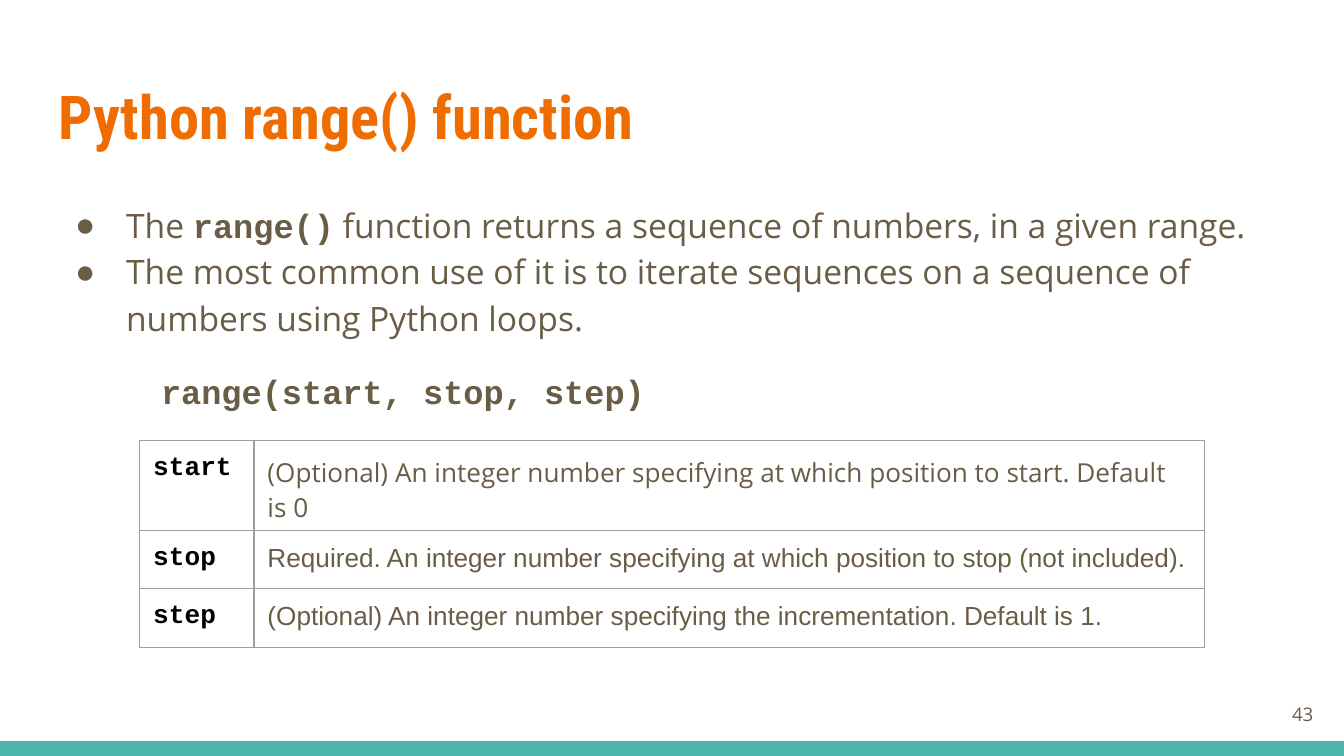
from lxml import etree
from pptx import Presentation
from pptx.dml.color import RGBColor
from pptx.enum.shapes import MSO_SHAPE as SHAPE
from pptx.enum.text import MSO_ANCHOR as ANCHOR, PP_ALIGN as ALIGN
from pptx.oxml.ns import qn
from pptx.util import Inches, Pt

WIDTH = 10
HEIGHT = WIDTH * 9 / 16
BROWN, ORANGE, TEAL = "695D46", "EF6C00", "4DB6AC"
BLACK, GREY = "000000", "9E9E9E"
SANS, MONO, ARIAL, TITLE = "Open Sans", "Courier New", "Arial", "Roboto Condensed"


def rgb(value):
    """Return the colour for a hex string."""
    return RGBColor.from_string(value)


def add_text(p, text, font=SANS, size=18, color=BROWN, bold=False):
    """Append a formatted run to a paragraph."""
    r = p.add_run()
    r.text = text
    r.font.name, r.font.size, r.font.bold = font, Pt(size), bold
    r.font.color.rgb = rgb(color)


def add_box(s, x, y, w, h):
    """Add a wrapping text box and return its text frame."""
    tf = s.shapes.add_textbox(Inches(x), Inches(y), Inches(w), Inches(h)).text_frame
    tf.word_wrap = True
    tf.margin_left = tf.margin_right = tf.margin_top = tf.margin_bottom = Inches(0.1)
    return tf


def add_bullet(p):
    """Give a paragraph a hanging round bullet."""
    p.line_spacing = 1.15
    pPr = p._p.get_or_add_pPr()
    pPr.set("marL", str(Inches(0.5)))
    pPr.set("indent", str(Inches(-0.38)))
    clr = etree.SubElement(pPr, qn("a:buClr"))
    etree.SubElement(clr, qn("a:srgbClr"), val=BROWN)
    etree.SubElement(pPr, qn("a:buFont"), typeface=ARIAL)
    etree.SubElement(pPr, qn("a:buChar"), char="●")


def add_borders(cell):
    """Draw a thin grey line on every side of a cell."""
    tcPr = cell._tc.get_or_add_tcPr()
    for i, side in enumerate(("a:lnL", "a:lnR", "a:lnT", "a:lnB")):
        ln = etree.Element(qn(side), w=str(Pt(0.75)))
        fill = etree.SubElement(ln, qn("a:solidFill"))
        etree.SubElement(fill, qn("a:srgbClr"), val=GREY)
        tcPr.insert(i, ln)


def footer(s, x, y, w, h, number):
    """Add the bottom band and the page number above its right end."""
    band = s.shapes.add_shape(SHAPE.RECTANGLE, Inches(x), Inches(y), Inches(w), Inches(h))
    band.shadow.inherit = False
    band.fill.solid()
    band.fill.fore_color.rgb = rgb(TEAL)
    band.line.fill.background()
    tf = add_box(s, x + w - 0.73, y - 0.42, 0.6, 0.43)
    tf.vertical_anchor = ANCHOR.MIDDLE
    p = tf.paragraphs[0]
    p.alignment = ALIGN.RIGHT
    add_text(p, number, size=10)


def heading(s, x, y, w, h, text):
    """Add the slide title."""
    add_text(add_box(s, x, y, w, h).paragraphs[0], text, font=TITLE, size=32.4, color=ORANGE, bold=True)


def bullets(s, x, y, w, h, items):
    """Add a bulleted list whose items are lists of (text, format) pairs."""
    tf = add_box(s, x, y, w, h)
    for i, item in enumerate(items):
        p = tf.add_paragraph() if i else tf.paragraphs[0]
        add_bullet(p)
        for text, fmt in item:
            add_text(p, text, **fmt)


def signature(s, x, y, w, h, text):
    """Add the function signature in code type."""
    add_text(add_box(s, x, y, w, h).paragraphs[0], text, font=MONO, bold=True)


def parameters(s, x, y, widths, row_h, rows):
    """Add the table of parameter names and descriptions."""
    frame = s.shapes.add_table(len(rows), len(widths), Inches(x), Inches(y),
                               Inches(sum(widths)), Inches(row_h * len(rows)))
    table = frame.table
    table.first_row = table.horz_banding = False
    for col, width in zip(table.columns, widths):
        col.width = Inches(width)
    for row, (name, text, font) in zip(table.rows, rows):
        row.height = Inches(row_h)
        for cell in row.cells:
            cell.margin_left = cell.margin_right = Inches(0.1)
            cell.margin_top = cell.margin_bottom = Inches(0.1)
            cell.fill.background()
            add_borders(cell)
        key, description = (cell.text_frame.paragraphs[0] for cell in row.cells)
        add_text(key, name, font=MONO, size=14, color=BLACK, bold=True)
        add_text(description, text, font=font, size=14)


def main():
    """Build the slide and save it."""
    prs = Presentation()
    prs.slide_width, prs.slide_height = Inches(WIDTH), Inches(HEIGHT)
    s = prs.slides.add_slide(prs.slide_layouts[6])
    footer(s, 0, HEIGHT - 0.11, WIDTH, 0.11, "43")
    heading(s, 0.34, 0.49, 9.32, 0.77, "Python range() function")
    bullets(s, 0.34, 1.38, 9.32, 3.61, [
        [("The ", {}), ("range()", {"font": MONO, "bold": True}),
         (" function returns a sequence of numbers, in a given range.", {})],
        [("The most common use of it is to iterate sequences on a sequence of "
          "numbers using Python loops.", {})],
    ])
    signature(s, 1.1, 2.66, 6.54, 1.3, "range(start, stop, step)")
    parameters(s, 1.04, 3.28, (0.85, 7.07), 0.42, [
        ("start", "(Optional) An integer number specifying at which position to start. Default is 0", SANS),
        ("stop", "Required. An integer number specifying at which position to stop (not included).", ARIAL),
        ("step", "(Optional) An integer number specifying the incrementation. Default is 1.", ARIAL),
    ])
    prs.save("out.pptx")


if __name__ == "__main__":
    main()
